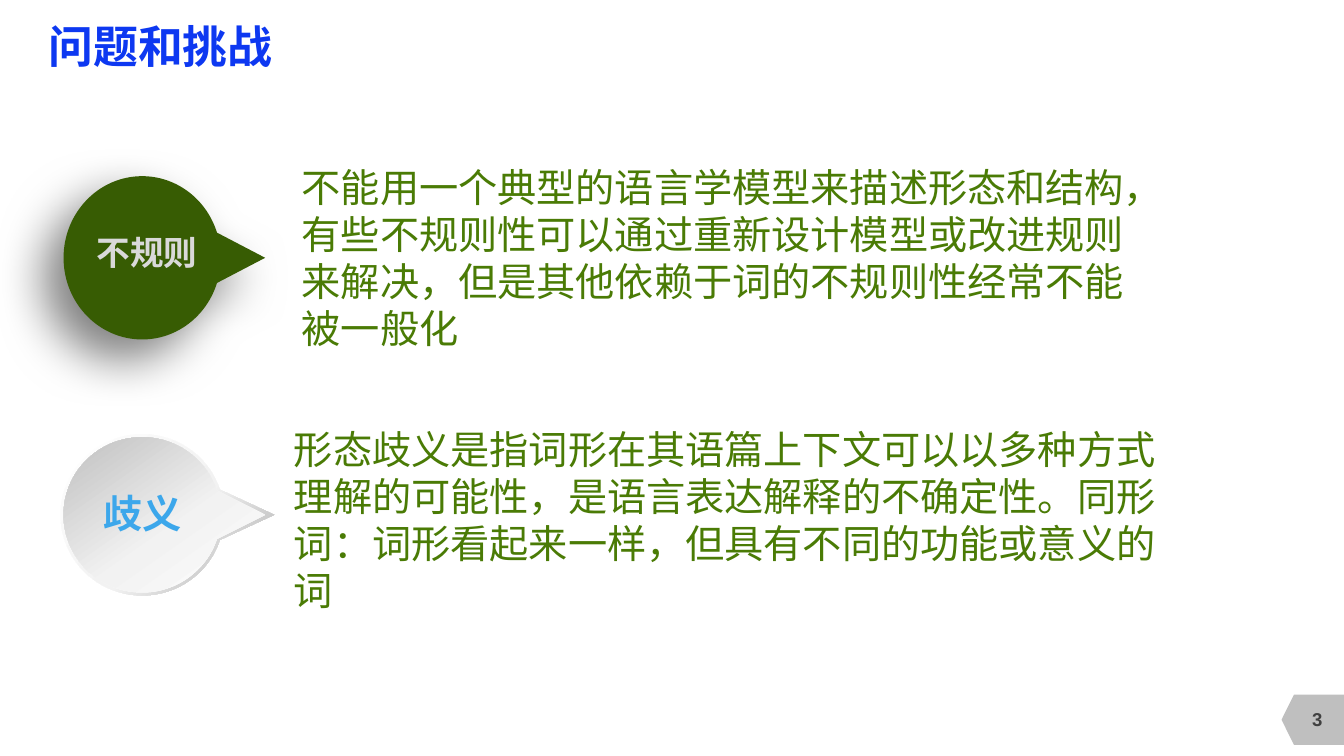
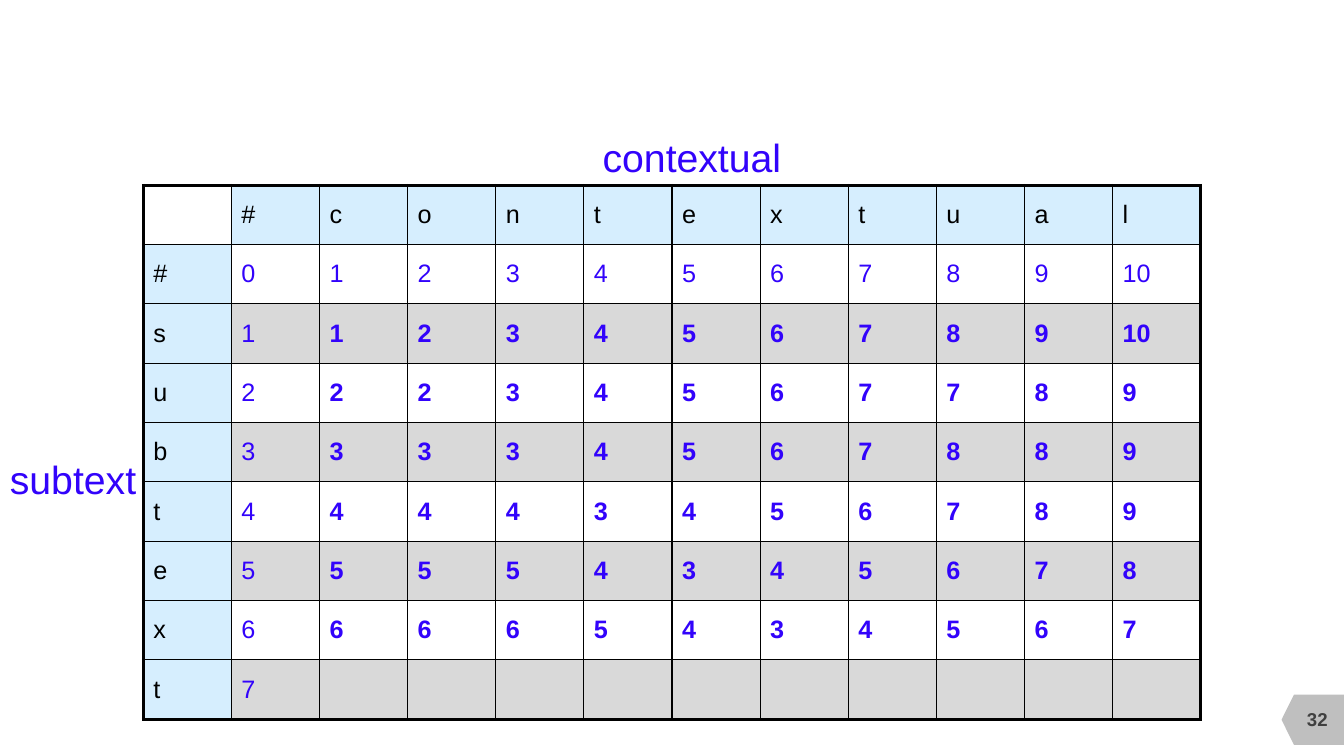
from dataclasses import dataclass
from itertools import pairwise
from math import asin, cos, pi, sin, tan
from typing import Optional

from lxml import etree
from pptx import Presentation
from pptx.dml.color import RGBColor
from pptx.enum.shapes import MSO_SHAPE as Preset
from pptx.enum.text import MSO_ANCHOR as Anchor, PP_ALIGN as Align
from pptx.oxml import parse_xml
from pptx.oxml.ns import nsdecls, qn
from pptx.util import Inches, Pt

# Shared look
WIDTH, HEIGHT = Inches(13.33), Inches(7.5)
LATIN, CJK = "Arial", "Noto Sans CJK SC"
TITLE_BLUE, BODY_GREEN, BUBBLE_GREEN = "0D38F1", "4A7B05", "375C03"
WORD_BLUE, SKY_BLUE, HEADER_BLUE = "3203FB", "3CA7EB", "D6EEFE"
BLACK, WHITE, BAND_GREY, TAG_GREY, DARK_GREY = "000000", "FFFFFF", "D9D9D9", "BFBFBF", "404040"
THIN, THICK = 1, 2.25
BODY_INSET = (0.13, 0.07)


@dataclass(frozen=True)
class Box:
    """Place and size as percentages of the slide."""
    left: float
    top: float
    width: float
    height: float

    def emu(self) -> tuple[int, int, int, int]:
        return across(self.left), down(self.top), across(self.width), down(self.height)


@dataclass(frozen=True)
class TextStyle:
    size: float
    colour: str
    bold: bool = False
    font: str = LATIN
    align: Optional[Align] = None
    anchor: Anchor = Anchor.TOP
    inset: tuple[float, float] = (0.1, 0.05)
    wrap: bool = True


@dataclass(frozen=True)
class Bubble:
    """Ellipse with a pointer to the right, in percentages of the slide."""
    centre_y: float
    radius_x: float
    radius_y: float
    tip_x: float
    half_base: float
    centre_x: float = 10.58

    def point(self, angle: float, slope: float = 0) -> tuple[int, int]:
        """Point on the ellipse, moved along its tangent by the slope factor."""
        return (across(self.centre_x + self.radius_x * (cos(angle) - slope * sin(angle))),
                down(self.centre_y + self.radius_y * (sin(angle) + slope * cos(angle))))


@dataclass(frozen=True)
class Gradient:
    stops: tuple[tuple[int, str], ...]
    angle: int


@dataclass(frozen=True)
class Challenge:
    label: str
    label_box: Box
    label_style: TextStyle
    body: str
    body_box: Box


TITLE = TextStyle(32, TITLE_BLUE, bold=True, anchor=Anchor.MIDDLE, inset=(0, 0), wrap=False)
BODY = TextStyle(28, BODY_GREEN, font=CJK, inset=BODY_INSET)
PAGE = TextStyle(13.3, DARK_GREY, bold=True, align=Align.CENTER, anchor=Anchor.MIDDLE)
WORD = TextStyle(28, WORD_BLUE, wrap=False)

CHALLENGES = (
    Challenge("不规则", Box(6.45, 30, 10.8, 6.67), TextStyle(24, BAND_GREY, bold=True),
              "不能用一个典型的语言学模型来描述形态和结构，有些不规则性可以通过重新设计模型"
              "或改进规则来解决，但是其他依赖于词的不规则性经常不能被一般化",
              Box(21.48, 20.67, 64.35, 26.93)),
    Challenge("歧义", Box(6.93, 64.13, 9.08, 7.6), TextStyle(28, SKY_BLUE, bold=True),
              "形态歧义是指词形在其语篇上下文可以以多种方式理解的可能性，是语言表达解释的"
              "不确定性。同形词：词形看起来一样，但具有不同的功能或意义的词",
              Box(20.9, 55.33, 66.45, 26.93)),
)
IRREGULAR = Bubble(34.1, 5.85, 10.8, 19.73, 3.33)
AMBIGUOUS_RIM = Bubble(68.1, 6.08, 10.67, 20.4, 3.33)
AMBIGUOUS_FACE = Bubble(68.1, 5.85, 10.27, 19.73, 3.2)
RIM_SHADE = Gradient(((0, WHITE), (55, "F2F2F2"), (100, "A6A6A6")), 45)
FACE_SHADE = Gradient(((0, WHITE), (43, "F2F2F2"), (100, TAG_GREY)), 235)

SOURCE, TARGET = "subtext", "contextual"
TABLE_BOX = Box(10.66, 24.5, 78.69, 70.63)


def across(percent: float) -> int:
    return round(WIDTH * percent / 100)


def down(percent: float) -> int:
    return round(HEIGHT * percent / 100)


def rgb(colour: str) -> RGBColor:
    return RGBColor.from_string(colour)


def set_font(paragraph, style: TextStyle) -> None:
    if style.align is not None:
        paragraph.alignment = style.align
    font = paragraph.font
    font.name, font.size, font.bold = style.font, Pt(style.size), style.bold
    font.color.rgb = rgb(style.colour)


def add_text(slide, text: str, box: Box, style: TextStyle) -> None:
    frame = slide.shapes.add_textbox(*box.emu()).text_frame
    frame.word_wrap = style.wrap
    frame.vertical_anchor = style.anchor
    frame.margin_left = frame.margin_right = Inches(style.inset[0])
    frame.margin_top = frame.margin_bottom = Inches(style.inset[1])
    frame.text = text
    set_font(frame.paragraphs[0], style)


def make_plain(shape, colour: str) -> None:
    shape.shadow.inherit = False
    shape.line.fill.background()
    shape.fill.solid()
    shape.fill.fore_color.rgb = rgb(colour)


def add_slide(deck, page: str):
    slide = deck.slides.add_slide(deck.slide_layouts[6])
    tag = slide.shapes.add_shape(Preset.FLOWCHART_OFFPAGE_CONNECTOR,
                                 *Box(95.8, 91.07, 3.75, 8.27).emu())
    tag.rotation = 90
    make_plain(tag, TAG_GREY)
    add_text(slide, page, Box(95.5, 92.4, 5.03, 5.33), PAGE)
    return slide


# Speech bubbles
def add_bubble(shapes, bubble: Bubble, colour: str):
    start = asin(bubble.half_base / bubble.radius_y)
    angles = (start, pi / 2, pi, 3 * pi / 2, 2 * pi - start)
    outline = shapes.build_freeform(across(bubble.tip_x), down(bubble.centre_y))
    outline.add_line_segments([bubble.point(angle) for angle in angles], close=True)
    shape = outline.convert_to_shape()
    make_plain(shape, colour)

    # Bend the sides between the quarter points into arcs
    sides = list(shape._element.iter(qn("a:lnTo")))[1:]
    for side, (first, last) in zip(sides, pairwise(angles)):
        reach = 4 / 3 * tan((last - first) / 4)
        side.tag = qn("a:cubicBezTo")
        for place, (x, y) in enumerate((bubble.point(first, reach), bubble.point(last, -reach))):
            side.insert(place, parse_xml(
                f'<a:pt {nsdecls("a")} x="{x - shape.left}" y="{y - shape.top}"/>'))
    return shape


def add_shadow(shape) -> None:
    effects = shape._element.spPr.find(qn("a:effectLst"))
    effects.append(parse_xml(
        f'<a:outerShdw {nsdecls("a")} blurRad="{Pt(35)}" dist="{Pt(20)}" dir="8100000" '
        f'algn="tr" rotWithShape="0"><a:srgbClr val="{BLACK}"><a:alpha val="50000"/>'
        '</a:srgbClr></a:outerShdw>'))


def add_gradient(shape, gradient: Gradient) -> None:
    stops = "".join(f'<a:gs pos="{place * 1000}"><a:srgbClr val="{colour}"/></a:gs>'
                    for place, colour in gradient.stops)
    properties = shape._element.spPr
    properties.replace(properties.find(qn("a:solidFill")), parse_xml(
        f'<a:gradFill {nsdecls("a")} rotWithShape="1"><a:gsLst>{stops}</a:gsLst>'
        f'<a:lin ang="{gradient.angle * 60000}" scaled="0"/></a:gradFill>'))


# Edit distance table
def edit_distances(source: str, target: str) -> list[list[int]]:
    rows = [list(range(len(target) + 1))]
    for i, letter in enumerate(source, 1):
        above, row = rows[-1], [i]
        for j, other in enumerate(target, 1):
            row.append(min(above[j] + 1, row[-1] + 1, above[j - 1] + (letter != other)))
        rows.append(row)
    return rows


def set_borders(cell, widths: dict[str, float]) -> None:
    properties = cell._tc.get_or_add_tcPr()
    for side, width in widths.items():
        line = etree.SubElement(properties, qn(f"a:ln{side}"), w=str(Pt(width)))
        fill = etree.SubElement(line, qn("a:solidFill"))
        etree.SubElement(fill, qn("a:srgbClr"), val=BLACK)


def cell_fill(row: int, column: int) -> str:
    if row == column == 0:
        return WHITE
    if row == 0 or column == 0:
        return HEADER_BLUE
    return WHITE if row % 2 else BAND_GREY


def add_distance_table(slide) -> None:
    distances = edit_distances(SOURCE, TARGET)
    distances[-1][1:] = [""] * len(TARGET)  # last row is left to fill in
    grid = [["", "#", *TARGET]]
    grid += [[letter, *row] for letter, row in zip("#" + SOURCE, distances)]
    last_row, last_column = len(grid) - 1, len(grid[0]) - 1

    table = slide.shapes.add_table(last_row + 1, last_column + 1, *TABLE_BOX.emu()).table
    table.first_row = table.horz_banding = False
    for r, values in enumerate(grid):
        for c, value in enumerate(values):
            cell = table.cell(r, c)
            set_borders(cell, {"L": THIN if c else THICK,
                               "R": THICK if c == last_column else THIN,
                               "T": THIN if r else THICK,
                               "B": THICK if r == last_row else THIN})
            cell.fill.solid()
            cell.fill.fore_color.rgb = rgb(cell_fill(r, c))
            cell.vertical_anchor = Anchor.MIDDLE
            cell.text = str(value)
            is_header = r == 0 or c == 0
            set_font(cell.text_frame.paragraphs[0],
                     TextStyle(18, BLACK if is_header else WORD_BLUE, bold=r > 1 and c > 1))


# Slides
def build_challenges(deck) -> None:
    slide = add_slide(deck, "3")
    add_text(slide, "问题和挑战", Box(3.6, 2.6, 49, 6.93), TITLE)
    add_shadow(add_bubble(slide.shapes, IRREGULAR, BUBBLE_GREEN))
    badge = slide.shapes.add_group_shape().shapes
    for bubble, shade in ((AMBIGUOUS_RIM, RIM_SHADE), (AMBIGUOUS_FACE, FACE_SHADE)):
        add_gradient(add_bubble(badge, bubble, WHITE), shade)
    for challenge in CHALLENGES:
        add_text(slide, challenge.label, challenge.label_box, challenge.label_style)
        add_text(slide, challenge.body, challenge.body_box, BODY)


def build_distances(deck) -> None:
    slide = add_slide(deck, "32")
    add_text(slide, SOURCE, Box(0, 59.6, 11, 7.6), WORD)
    add_text(slide, TARGET, Box(44.1, 17, 15, 7.6), WORD)
    add_distance_table(slide)


def main() -> None:
    deck = Presentation()
    deck.slide_width, deck.slide_height = WIDTH, HEIGHT
    build_challenges(deck)
    build_distances(deck)
    deck.save("out.pptx")


if __name__ == "__main__":
    main()
